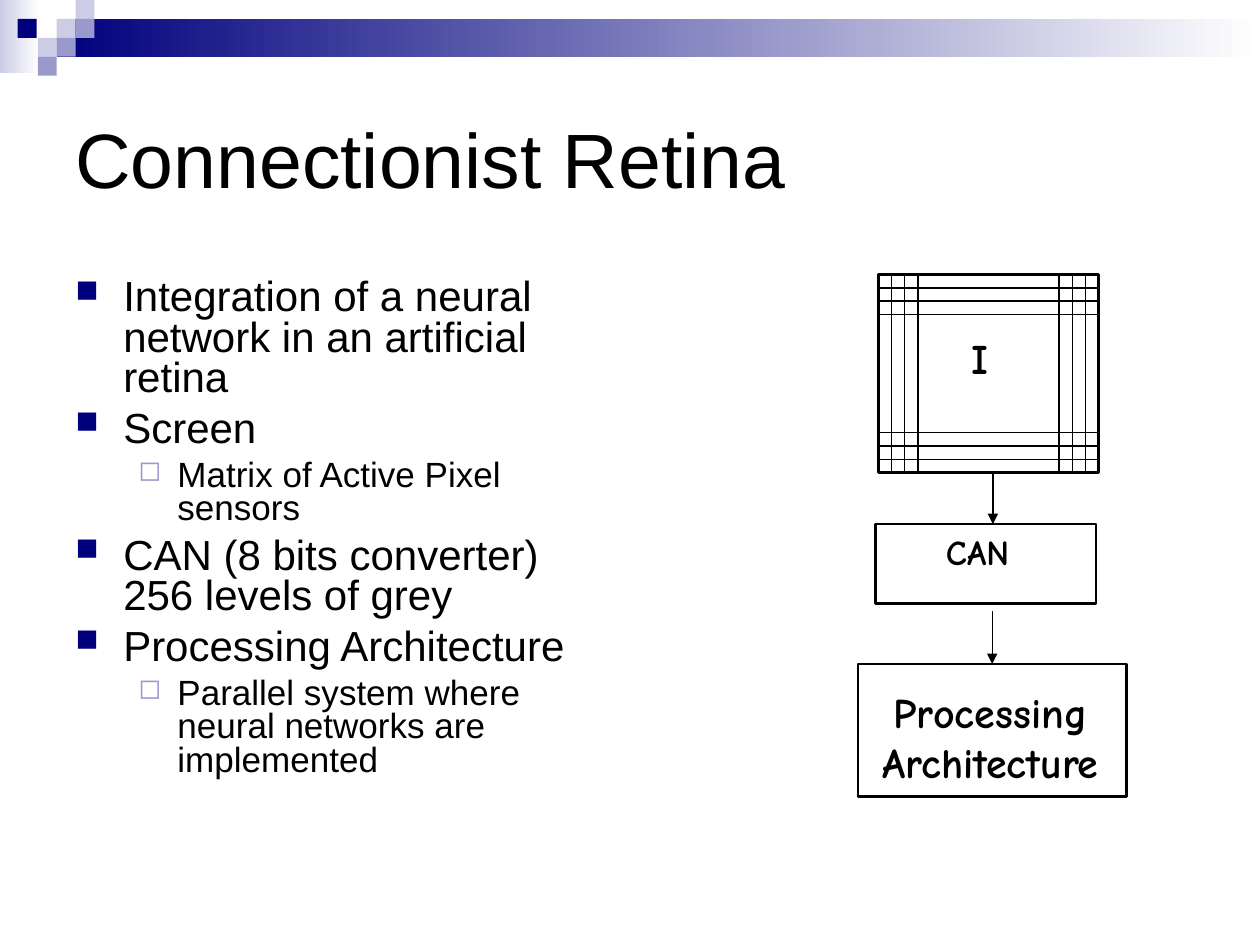
from lxml.etree import SubElement
from pptx import Presentation
from pptx.dml.color import RGBColor
from pptx.enum.shapes import MSO_CONNECTOR, MSO_SHAPE
from pptx.enum.text import MSO_ANCHOR, MSO_AUTO_SIZE, PP_ALIGN
from pptx.oxml.ns import qn
from pptx.util import Inches, Pt

COLORS = {"black": "000000", "white": "FFFFFF", "navy": "00007D",
          "violet": "9999CC", "lavender": "CCCCE6"}
TITLE = "Connectionist Retina"
BULLETS = [
    (0, "Integration of a neural network in an artificial retina"),
    (0, "Screen"),
    (1, "Matrix of Active Pixel sensors"),
    (0, "CAN (8 bits converter) 256 levels of grey"),
    (0, "Processing Architecture"),
    (1, "Parallel system where neural networks are implemented"),
]
LEVELS = [
    {"size": 24, "before": 6, "left": 0.38, "hang": 0.38,
     "char": "■", "color": "navy", "percent": 75},
    {"size": 20, "before": 5, "left": 0.81, "hang": 0.31,
     "char": "◻", "color": "violet", "percent": 80},
]
BANDS = [((0, 0, 0.31, 0.58), "lavender"), ((0.45, 0.15, 9.55, 0.3), "navy")]
TILE = 0.15
TILES = [(0.45, 0.15, "lavender"), (0.6, 0, "lavender"), (0.6, 0.15, "violet"),
         (0.3, 0.3, "lavender"), (0.14, 0.15, "navy"), (0.45, 0.3, "violet"),
         (0.3, 0.45, "violet")]
SCREEN = (6.97, 2.18, 1.75, 1.57)
CONVERTER = (6.95, 4.16, 1.75, 0.63)
PROCESSOR = (6.81, 5.27, 2.13, 1.05)
PIXEL = 0.105
LABELS = [
    ((7.61, 2.59, 0.33, 0.5), ["I"], 24, PP_ALIGN.LEFT),
    ((7.41, 4.16, 0.7, 0.44), ["CAN"], 20, PP_ALIGN.LEFT),
    ((6.89, 5.4, 1.94, 0.9), ["Processing", "Architecture"], 24, PP_ALIGN.CENTER),
]


def rgb(name):
    return RGBColor.from_string(COLORS[name])


def add_rect(box, fill=None):
    sp = s.shapes.add_shape(MSO_SHAPE.RECTANGLE, *map(Inches, box))
    sp.shadow.inherit = False
    if fill:
        sp.fill.solid()
        sp.fill.fore_color.rgb = rgb(fill)
        sp.line.fill.background()
    else:
        sp.fill.background()
        sp.line.color.rgb = rgb("black")
        sp.line.width = Pt(1.5)
    return sp


def add_band(box, color):
    sp = add_rect(box, color)
    sp.fill.gradient()
    sp.fill.gradient_angle = 0
    for stop, name in zip(sp.fill.gradient_stops, (color, "white")):
        stop.color.rgb = rgb(name)


def add_line(x1, y1, x2, y2, arrow=False):
    line = s.shapes.add_connector(MSO_CONNECTOR.STRAIGHT,
                                  *map(Inches, (x1, y1, x2, y2)))
    line.line.color.rgb = rgb("black")
    line.line.width = Pt(0.75)
    if arrow:
        SubElement(line.line._get_or_add_ln(), qn("a:tailEnd"), type="triangle")
    SubElement(line._element.spPr, qn("a:effectLst"))
    return line


def add_text(box, wrap=True):
    tf = s.shapes.add_textbox(*map(Inches, box)).text_frame
    tf.word_wrap = wrap
    return tf


def add_paragraph(tf, i, text, **font):
    p = tf.paragraphs[0] if i == 0 else tf.add_paragraph()
    r = p.add_run()
    r.text = text
    r.font.color.rgb = rgb("black")
    for key, value in font.items():
        setattr(r.font, key, value)
    return p


def add_bullet(p, level):
    pPr = p._p.get_or_add_pPr()
    pPr.set("marL", str(Inches(level["left"])))
    pPr.set("indent", str(-Inches(level["hang"])))
    color = SubElement(pPr, qn("a:buClr"))
    SubElement(color, qn("a:srgbClr"), val=COLORS[level["color"]])
    SubElement(pPr, qn("a:buSzPct"), val=str(level["percent"] * 1000))
    SubElement(pPr, qn("a:buChar"), char=level["char"])


prs = Presentation()
prs.slide_width, prs.slide_height = Inches(10), Inches(7.5)
s = prs.slides.add_slide(prs.slide_layouts[6])

for box, color in BANDS:
    add_band(box, color)
for x, y, color in TILES:
    add_rect((x, y, TILE, TILE), color)

tf = add_text((0.5, 0.5, 9, 1.5))
tf.vertical_anchor = MSO_ANCHOR.MIDDLE
add_paragraph(tf, 0, TITLE, name="Arial", size=Pt(44))

tf = add_text((0.5, 2.17, 4.42, 4.25))
for i, (depth, text) in enumerate(BULLETS):
    level = LEVELS[depth]
    p = add_paragraph(tf, i, text, name="Arial", size=Pt(level["size"]))
    add_bullet(p, level)
    p.level = depth
    p.line_spacing = 0.8
    if i:
        p.space_before = Pt(level["before"])

screen, converter, processor = map(add_rect, (SCREEN, CONVERTER, PROCESSOR))
x, y, w, h = SCREEN
for n in (1, 2, 3):
    for dx in (n * PIXEL, w - n * PIXEL):
        add_line(x + dx, y, x + dx, y + h)
    for dy in (n * PIXEL, h - n * PIXEL):
        add_line(x, y + dy, x + w, y + dy)

add_line(7.88, y + h, 7.88, CONVERTER[1], arrow=True)
center = PROCESSOR[0] + PROCESSOR[2] / 2
add_line(center, 4.85, center, PROCESSOR[1], arrow=True).end_connect(processor, 0)

for box, lines, size, align in LABELS:
    tf = add_text(box, wrap=False)
    tf.auto_size = MSO_AUTO_SIZE.SHAPE_TO_FIT_TEXT
    for i, text in enumerate(lines):
        p = add_paragraph(tf, i, text, name="Comic Neue", size=Pt(size), bold=True)
        p.alignment = align

prs.save("out.pptx")
